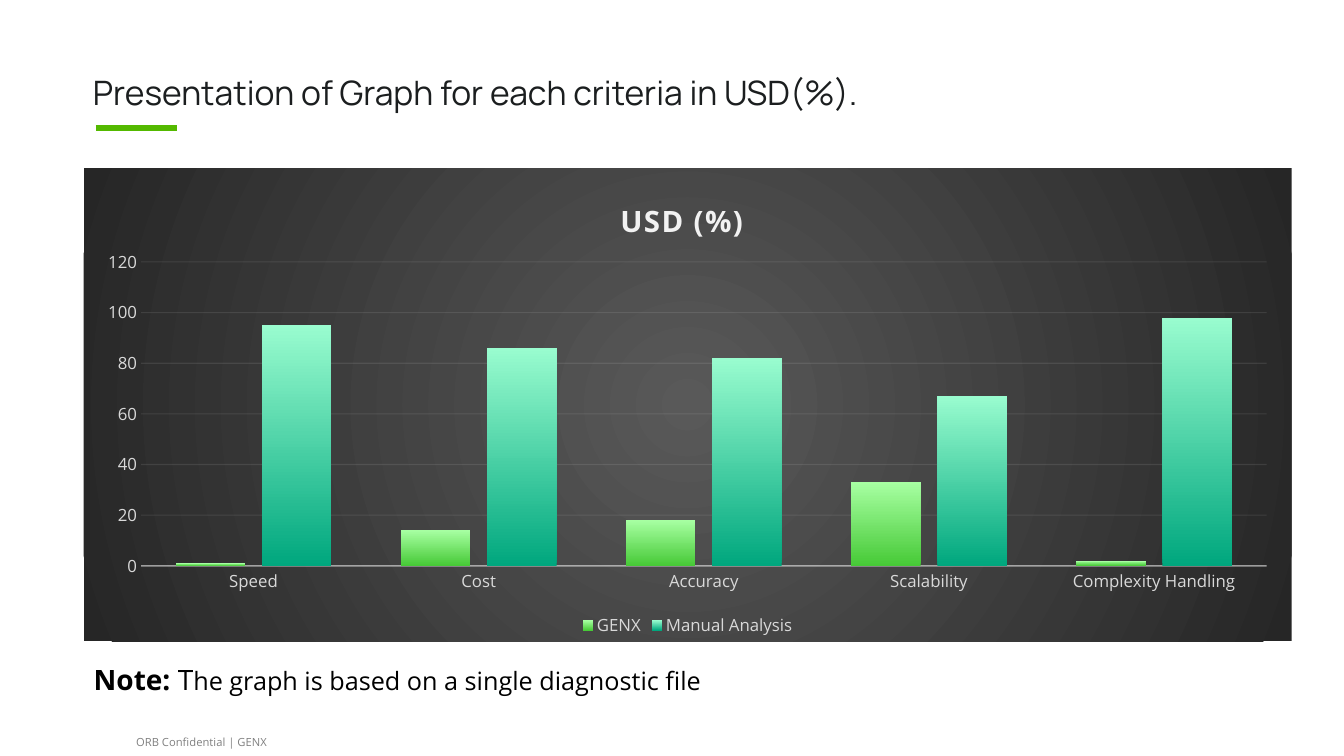
from dataclasses import dataclass

from lxml import etree
from pptx import Presentation
from pptx.chart.data import CategoryChartData
from pptx.dml.color import RGBColor as RGB
from pptx.enum.chart import XL_CHART_TYPE as CT, XL_LEGEND_POSITION as LP, XL_TICK_MARK as TM
from pptx.enum.shapes import MSO_CONNECTOR as CONN
from pptx.enum.text import MSO_ANCHOR as ANCHOR, MSO_AUTO_SIZE as FIT, PP_ALIGN as ALIGN
from pptx.oxml import parse_xml
from pptx.oxml.ns import nsdecls, qn
from pptx.util import Inches, Pt

TITLE = "Presentation of Graph for each criteria in USD(%)."
CHART_TITLE = "USD (%)"
CATEGORIES = ["Speed", "Cost", "Accuracy", "Scalability", "Complexity Handling"]
SERIES = [
    ("GENX", [1, 14, 18, 33, 2], ("47CA37", "A7FFA2")),
    ("Manual Analysis", [95, 86, 82, 67, 98], ("00A77E", "99FCCF")),
]
NOTE = [("Note: ", 20, True), ("T", 20, False), ("he graph is based on a single diagnostic file", 18, False)]
FOOTER = [("ORB Confidential | GENX", 8, False)]

TITLE_BOX = (0.92, 0.22, 11.98, 1.45)
CHART_BOX = (0.83, 1.67, 11.98, 4.69)
NOTE_BOX = (0.83, 6.52, 6.95, 0.54)
FOOTER_BOX = (1.35, 7.22, 4.5, 0.28)
RULE = (0.95, 1.27, 1.76, 1.27)


@dataclass(frozen=True)
class Theme:
    """Fonts, colours and type sizes of the slide."""
    head: str = "Manrope"
    body: str = "Open Sans"
    ink: str = "1B1E1F"
    black: str = "000000"
    muted: str = "808080"
    accent: str = "54B900"
    label: str = "D9D9D9"
    light: str = "F2F2F2"
    glow: str = "595959"
    dark: str = "262626"
    title_size: int = 24
    chart_title_size: int = 21
    label_size: int = 12


THEME = Theme()


def box(lengths):
    """Convert a tuple of inches to slide lengths."""
    return [Inches(n) for n in lengths]


def style(font, size, color, name=THEME.body, bold=False):
    """Set size, colour, face and weight of a font."""
    font.size, font.name, font.bold = Pt(size), name, bold
    font.color.rgb = RGB.from_string(color)


def faint_line(line, width, opacity):
    """Give a chart line a light, partly transparent stroke."""
    line.width = Pt(width)
    line.color.rgb = RGB.from_string(THEME.light)
    clr = line._ln.find(".//" + qn("a:srgbClr"))
    etree.SubElement(clr, qn("a:alpha"), val=str(opacity * 1000))


def place(parent, index, x, y, w=None, h=None):
    """Put a chart title or plot area at fractions of the chart."""
    old = parent.find(qn("c:layout"))
    if old is not None:
        parent.remove(old)
    items = [("xMode", "edge"), ("yMode", "edge"), ("x", x), ("y", y)]
    if w:
        items = [("layoutTarget", "inner"), *items, ("w", w), ("h", h)]
    body = "".join(f'<c:{tag} val="{val}"/>' for tag, val in items)
    parent.insert(index, parse_xml(
        f'<c:layout {nsdecls("c")}><c:manualLayout>{body}</c:manualLayout></c:layout>'))


def fill_chart(chart):
    """Fill the chart area with a radial gradient."""
    stops = "".join(f'<a:gs pos="{pos}"><a:srgbClr val="{c}"/></a:gs>'
                    for pos, c in ((0, THEME.glow), (100000, THEME.dark)))
    chart._chartSpace.find(qn("c:txPr")).addprevious(parse_xml(
        f'<c:spPr {nsdecls("c", "a")}><a:gradFill><a:gsLst>{stops}</a:gsLst><a:path path="circle">'
        '<a:fillToRect l="50000" t="50000" r="50000" b="50000"/></a:path></a:gradFill>'
        '<a:ln><a:noFill/></a:ln></c:spPr>'))


def add_text(slide, where, runs, color):
    """Add a text box of one paragraph with the given runs."""
    tf = slide.shapes.add_textbox(*box(where)).text_frame
    tf.word_wrap = True
    for text, size, bold in runs:
        r = tf.paragraphs[0].add_run()
        r.text = text
        style(r.font, size, color, bold=bold)
    return tf


def add_title(slide):
    """Fill the title placeholder and draw the accent rule."""
    sp = slide.shapes.title
    sp.left, sp.top, sp.width, sp.height = box(TITLE_BOX)
    tf = sp.text_frame
    tf.text = TITLE
    tf.auto_size, tf.vertical_anchor, tf.margin_left = FIT.NONE, ANCHOR.MIDDLE, 0
    p = tf.paragraphs[0]
    p.alignment, p.line_spacing = ALIGN.LEFT, Pt(THEME.title_size)
    style(p.runs[0].font, THEME.title_size, THEME.ink, THEME.head)
    rule = slide.shapes.add_connector(CONN.STRAIGHT, *box(RULE))
    rule.line.width = Pt(4.5)
    rule.line.color.rgb = RGB.from_string(THEME.accent)
    etree.SubElement(rule._element.spPr, qn("a:effectLst"))


def add_chart(slide):
    """Add the clustered column chart."""
    data = CategoryChartData()
    data.categories = CATEGORIES
    for name, values, _ in SERIES:
        data.add_series(name, values)
    chart = slide.shapes.add_chart(CT.COLUMN_CLUSTERED, *box(CHART_BOX), data).chart
    style(chart.font, 10, THEME.black)
    fill_chart(chart)

    tf = chart.chart_title.text_frame
    tf.text = CHART_TITLE
    r = tf.paragraphs[0].runs[0]
    style(r.font, THEME.chart_title_size, THEME.light, bold=True)
    r.font._element.set("spc", "100")
    chart.chart_title.include_in_layout = False
    place(chart.chart_title._element, 1, 0.44, 0.05)
    place(chart._chartSpace.chart.plotArea, 0, 0.0475, 0.198, 0.932, 0.643)

    chart.has_legend = True
    chart.legend.position = LP.BOTTOM
    chart.legend.include_in_layout = False
    cat, val = chart.category_axis, chart.value_axis
    for part in (chart.legend.font, cat.tick_labels.font, val.tick_labels.font):
        style(part, THEME.label_size, THEME.label)
    for axis in (cat, val):
        axis.major_tick_mark = axis.minor_tick_mark = TM.NONE
    faint_line(cat.format.line, 1, 54)
    val.format.line.fill.background()
    val.minimum_scale, val.maximum_scale, val.major_unit = 0, 120, 20
    faint_line(val.major_gridlines.format.line, 0.75, 10)

    plot = chart.plots[0]
    plot.gap_width, plot.overlap, plot.vary_by_categories = 100, -24, False
    for series, (_, _, colors) in zip(plot.series, SERIES):
        fill = series.format.fill
        fill.gradient()
        fill.gradient_angle = 90
        for stop, color, pos in zip(fill.gradient_stops, colors, (0, 1)):
            stop.color.rgb, stop.position = RGB.from_string(color), pos


def main():
    """Build and save the slide."""
    prs = Presentation()
    prs.slide_width, prs.slide_height = Inches(13.33), Inches(7.5)
    slide = prs.slides.add_slide(prs.slide_layouts[5])
    add_title(slide)
    add_chart(slide)
    add_text(slide, NOTE_BOX, NOTE, THEME.black)
    footer = add_text(slide, FOOTER_BOX, FOOTER, THEME.muted)
    footer.margin_left, footer.vertical_anchor = 0, ANCHOR.MIDDLE
    prs.save("out.pptx")


if __name__ == "__main__":
    main()
